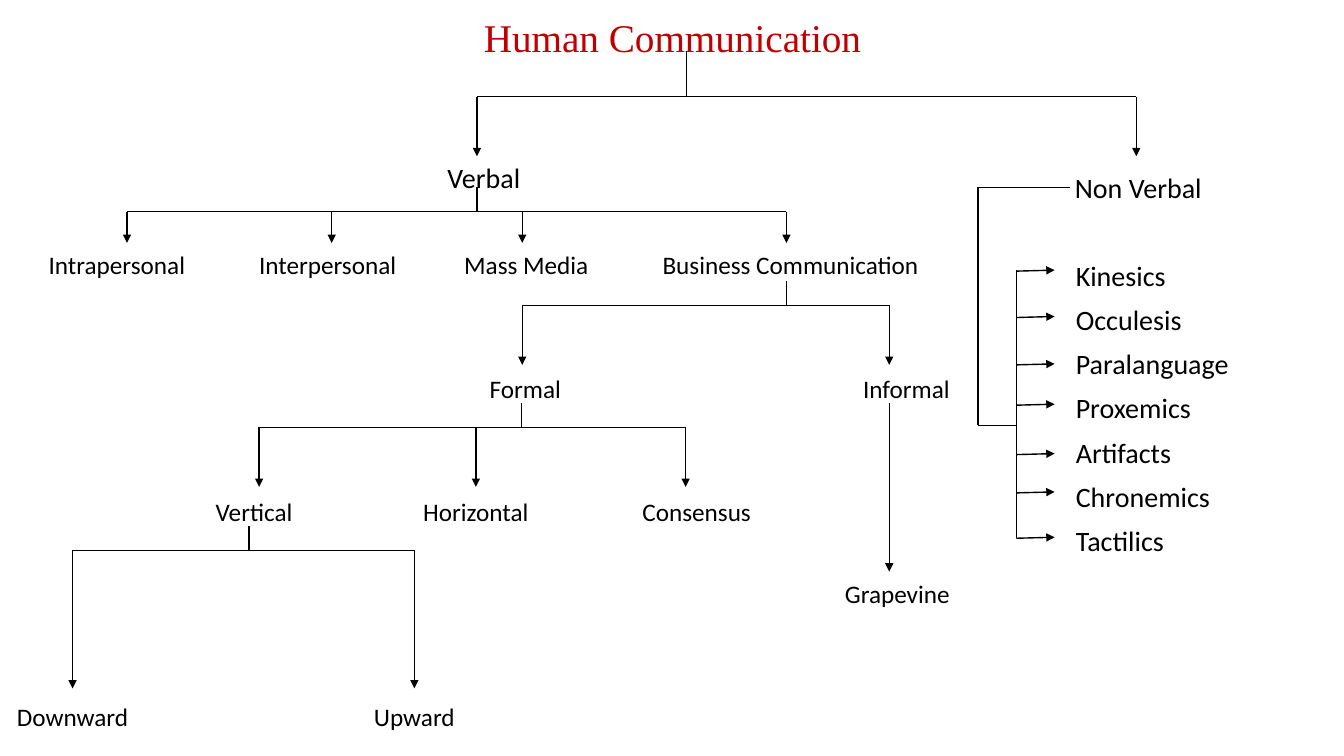
import pptx
import pptx.util
import pptx.dml.color
import pptx.enum.shapes
import pptx.enum.text
import pptx.oxml.ns
import lxml.etree

COLORS = {"title": "C00000", "text": "000000", "line": "000000"}
SLIDE_WIDTH = pptx.util.Inches(13.33)
SLIDE_HEIGHT = pptx.util.Inches(7.5)
COLUMN = SLIDE_WIDTH / 133.3
ROW = SLIDE_HEIGHT / 75

LABEL_ROWS = [
    (26.2, [("Intrapersonal", 11.6), ("Interpersonal", 32.5),
            ("Mass Media", 52.2), ("Business Communication", 78.4)]),
    (38.5, [("Formal", 52.1), ("Informal", 89.9)]),
    (50.7, [("Vertical", 25.2), ("Horizontal", 47.2), ("Consensus", 69.1)]),
    (58.9, [("Grapevine", 89)]),
    (71.1, [("Downward", 7.2), ("Upward", 41.1)]),
]

BRANCHES = [
    (68.1, 5.1, 9.6, 15.5, [47.3, 112.7]),
    (47.3, 18.6, 21, 24.1, [12.6, 32.9, 51.8, 78]),
    (78, 27.9, 30.3, 36.2, [51.8, 88.2]),
    (51.7, 40, 42.4, 48.3, [25.7, 47.2, 68]),
    (24.7, 52.2, 54.6, 68.3, [7.2, 41.1]),
]

NON_VERBAL = {
    "Kinesics": 26.9,
    "Occulesis": 31.5,
    "Paralanguage": 36.2,
    "Proxemics": 40.2,
    "Artifacts": 45.1,
    "Chronemics": 48.9,
    "Tactilics": 53.4,
}


def color(name):
    return pptx.dml.color.RGBColor.from_string(COLORS[name])


def add_text_frame(slide, left, top, width, height):
    box = slide.shapes.add_textbox(
        round(left * COLUMN), round(top * ROW),
        round(width * COLUMN), round(height * ROW))
    frame = box.text_frame
    frame.word_wrap = True
    frame.margin_left = frame.margin_right = 0
    frame.margin_top = frame.margin_bottom = 0
    return frame


def style_paragraph(paragraph, size, font="Calibri", color_name="text"):
    paragraph.font.size = pptx.util.Pt(size)
    paragraph.font.name = font
    paragraph.font.color.rgb = color(color_name)


def add_label(slide, text, center, middle, size=18, **style):
    width = max(14, len(text) * size / 13)
    frame = add_text_frame(slide, center - width / 2, middle - 2, width, 4)
    frame.vertical_anchor = pptx.enum.text.MSO_ANCHOR.MIDDLE
    paragraph = frame.paragraphs[0]
    paragraph.text = text
    paragraph.alignment = pptx.enum.text.PP_ALIGN.CENTER
    style_paragraph(paragraph, size, **style)


def add_list(slide, items, left, top):
    frame = add_text_frame(slide, left, top, 25, 31)
    for index, item in enumerate(items):
        paragraph = frame.add_paragraph() if index else frame.paragraphs[0]
        paragraph.text = item
        paragraph.line_spacing = 0.9
        paragraph.space_after = pptx.util.Pt(10)
        style_paragraph(paragraph, 20)


def add_line(slide, start, end, arrow=False):
    connector = slide.shapes.add_connector(
        pptx.enum.shapes.MSO_CONNECTOR.STRAIGHT,
        round(start[0] * COLUMN), round(start[1] * ROW),
        round(end[0] * COLUMN), round(end[1] * ROW))
    connector.line.color.rgb = color("line")
    connector.line.width = pptx.util.Pt(1)
    properties = connector._element.spPr
    lxml.etree.SubElement(properties, pptx.oxml.ns.qn("a:effectLst"))
    if arrow:
        outline = properties.find(pptx.oxml.ns.qn("a:ln"))
        lxml.etree.SubElement(
            outline, pptx.oxml.ns.qn("a:tailEnd"), type="triangle")


def add_branch(slide, stem, top, bar, bottom, drops):
    add_line(slide, (stem, top), (stem, bar))
    add_line(slide, (drops[0], bar), (drops[-1], bar))
    for drop in drops:
        add_line(slide, (drop, bar), (drop, bottom), arrow=True)


def add_non_verbal(slide):
    add_label(slide, "Non Verbal", 112.9, 18.6, size=20)
    add_list(slide, NON_VERBAL, 106.7, 26)
    elbow = [(106.1, 18.6), (97, 18.6), (97, 42.2), (100.8, 42.2)]
    for start, end in zip(elbow, elbow[1:]):
        add_line(slide, start, end)
    add_line(slide, (100.8, 26.8), (100.8, 53.4))
    for level in NON_VERBAL.values():
        add_line(slide, (100.8, level), (104.6, level - 0.1), arrow=True)


def main():
    presentation = pptx.Presentation()
    presentation.slide_width = SLIDE_WIDTH
    presentation.slide_height = SLIDE_HEIGHT
    slide = presentation.slides.add_slide(presentation.slide_layouts[6])

    add_label(slide, "Human Communication", 66.7, 3.7, size=28,
              font="Times New Roman", color_name="title")
    add_label(slide, "Verbal", 48, 17.6, size=20)
    for middle, labels in LABEL_ROWS:
        for text, center in labels:
            add_label(slide, text, center, middle)
    for branch in BRANCHES:
        add_branch(slide, *branch)
    add_line(slide, (88.2, 40), (88.2, 56.7), arrow=True)
    add_non_verbal(slide)

    presentation.save("out.pptx")


if __name__ == "__main__":
    main()
